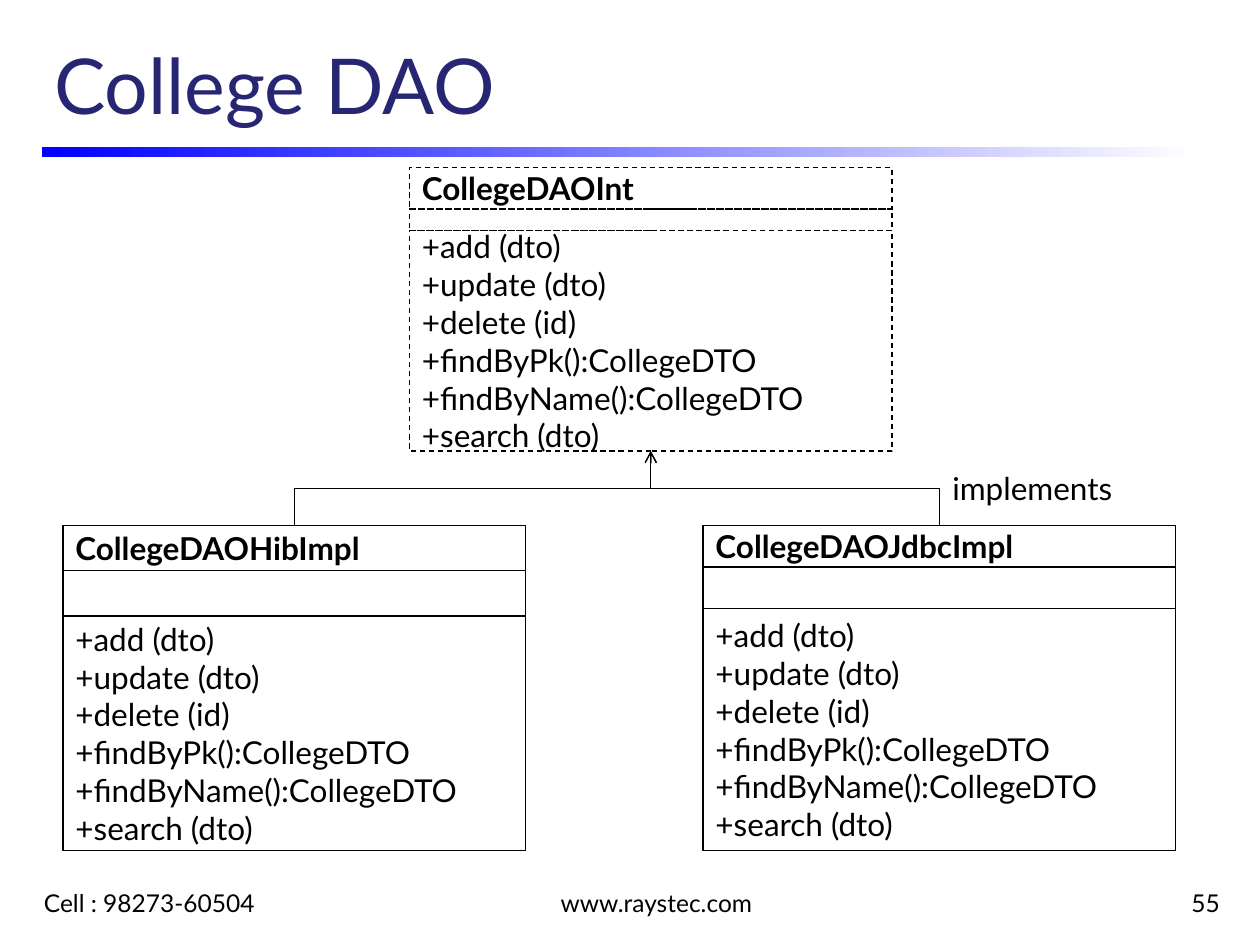
from pptx import Presentation
from pptx.dml.color import RGBColor
from pptx.enum.dml import MSO_LINE
from pptx.enum.shapes import MSO_CONNECTOR, MSO_SHAPE
from pptx.enum.text import MSO_ANCHOR, PP_ALIGN
from pptx.oxml.ns import qn
from pptx.util import Inches, Pt
from lxml.etree import SubElement

BLACK = RGBColor(0, 0, 0)
WHITE = RGBColor(0xFF, 0xFF, 0xFF)
BLUE = RGBColor(0, 0, 0xFF)
NAVY = RGBColor(0x26, 0x26, 0x73)
FONT = "Lato"
METHODS = [
    "+add (dto)",
    "+update (dto)",
    "+delete (id)",
    "+findByPk():CollegeDTO",
    "+findByName():CollegeDTO",
    "+search (dto)",
]


def set_text(sp, lines, size=18, color=BLACK, bold=False,
             align=PP_ALIGN.LEFT, anchor=MSO_ANCHOR.MIDDLE):
    tf = sp.text_frame
    tf.word_wrap = True
    tf.vertical_anchor = anchor
    for i, line in enumerate(lines):
        p = tf.add_paragraph() if i else tf.paragraphs[0]
        p.alignment = align
        r = p.add_run()
        r.text = line
        r.font.name = FONT
        r.font.size = Pt(size)
        r.font.bold = bold
        r.font.color.rgb = color


def add_label(slide, text, left, top, width, height, **fmt):
    sp = slide.shapes.add_textbox(
        Inches(left), Inches(top), Inches(width), Inches(height))
    set_text(sp, [text], **fmt)


def add_title(slide, text):
    sp = slide.shapes.title
    sp.left, sp.top = Inches(0.33), Inches(0.23)
    sp.width, sp.height = Inches(9.45), Inches(0.85)
    set_text(sp, [text], size=44, color=NAVY, anchor=MSO_ANCHOR.BOTTOM)


def add_rule(slide):
    sp = slide.shapes.add_shape(
        MSO_SHAPE.RECTANGLE, Inches(0.33), Inches(1.17), Inches(9.16), Inches(0.08))
    sp.shadow.inherit = False
    sp.line.fill.background()
    sp.fill.gradient()
    sp.fill.gradient_angle = 0
    for stop, color, position in zip(sp.fill.gradient_stops, (BLUE, WHITE), (0, 1)):
        stop.color.rgb = color
        stop.position = position


def add_class(slide, name, left, top, width, heights, dashed=False):
    group = slide.shapes.add_group_shape()
    parts = []
    for lines, height in zip(([name], [], METHODS), heights):
        sp = group.shapes.add_shape(
            MSO_SHAPE.RECTANGLE, Inches(left), Inches(top), Inches(width), Inches(height))
        sp.shadow.inherit = False
        sp.fill.background()
        sp.line.color.rgb = BLACK
        sp.line.width = Pt(0.75)
        if dashed:
            sp.line.dash_style = MSO_LINE.DASH
        set_text(sp, lines, bold=len(lines) == 1)
        parts.append(sp)
        top += height
    return parts[0], parts[-1]


def add_implements(slide, child, parent):
    x0, y0 = child.left + child.width // 2, child.top
    x1, y1 = parent.left + parent.width // 2, parent.top + parent.height
    cxn = slide.shapes.add_connector(MSO_CONNECTOR.ELBOW, x0, y0, x1, y1)
    cxn.begin_connect(child, 0)
    cxn.end_connect(parent, 2)

    run, rise = abs(x1 - x0), y0 - y1
    cxn.left, cxn.top = (x0 + x1 - rise) // 2, (y0 + y1 - run) // 2
    cxn.width, cxn.height = rise, run
    spPr = cxn._element.spPr
    xfrm = spPr.find(qn("a:xfrm"))
    xfrm.set("rot", str(270 * 60000))
    xfrm.set("flipH", "0")
    xfrm.set("flipV", "1" if x0 > x1 else "0")

    cxn.line.color.rgb = BLACK
    cxn.line.width = Pt(0.75)
    SubElement(spPr.find(qn("a:ln")), qn("a:tailEnd"), type="arrow")
    SubElement(spPr, qn("a:effectLst"))


def main():
    prs = Presentation()
    prs.slide_width, prs.slide_height = Inches(10), Inches(7.5)
    slide = prs.slides.add_slide(prs.slide_layouts[5])

    add_rule(slide)
    footers = [
        ("Cell : 98273-60504", 0.25, 2.08, PP_ALIGN.LEFT),
        ("www.raystec.com", 2.67, 5.08, PP_ALIGN.CENTER),
        ("55", 8, 1.78, PP_ALIGN.RIGHT),
    ]
    for text, left, width, align in footers:
        add_label(slide, text, left, 7.08, width, 0.25,
                  size=14, align=align, anchor=MSO_ANCHOR.BOTTOM)
    add_title(slide, "College DAO")

    _, interface = add_class(
        slide, "CollegeDAOInt", 3.25, 1.33, 3.83, (0.33, 0.17, 1.75), dashed=True)
    hib, _ = add_class(
        slide, "CollegeDAOHibImpl", 0.5, 4.17, 3.67, (0.36, 0.36, 1.86))
    jdbc, _ = add_class(
        slide, "CollegeDAOJdbcImpl", 5.58, 4.17, 3.75, (0.33, 0.33, 1.92))

    add_label(slide, "implements", 7.46, 3.67, 1.5, 0.7, anchor=MSO_ANCHOR.TOP)
    for child in (hib, jdbc):
        add_implements(slide, child, interface)

    prs.save("out.pptx")


if __name__ == "__main__":
    main()
